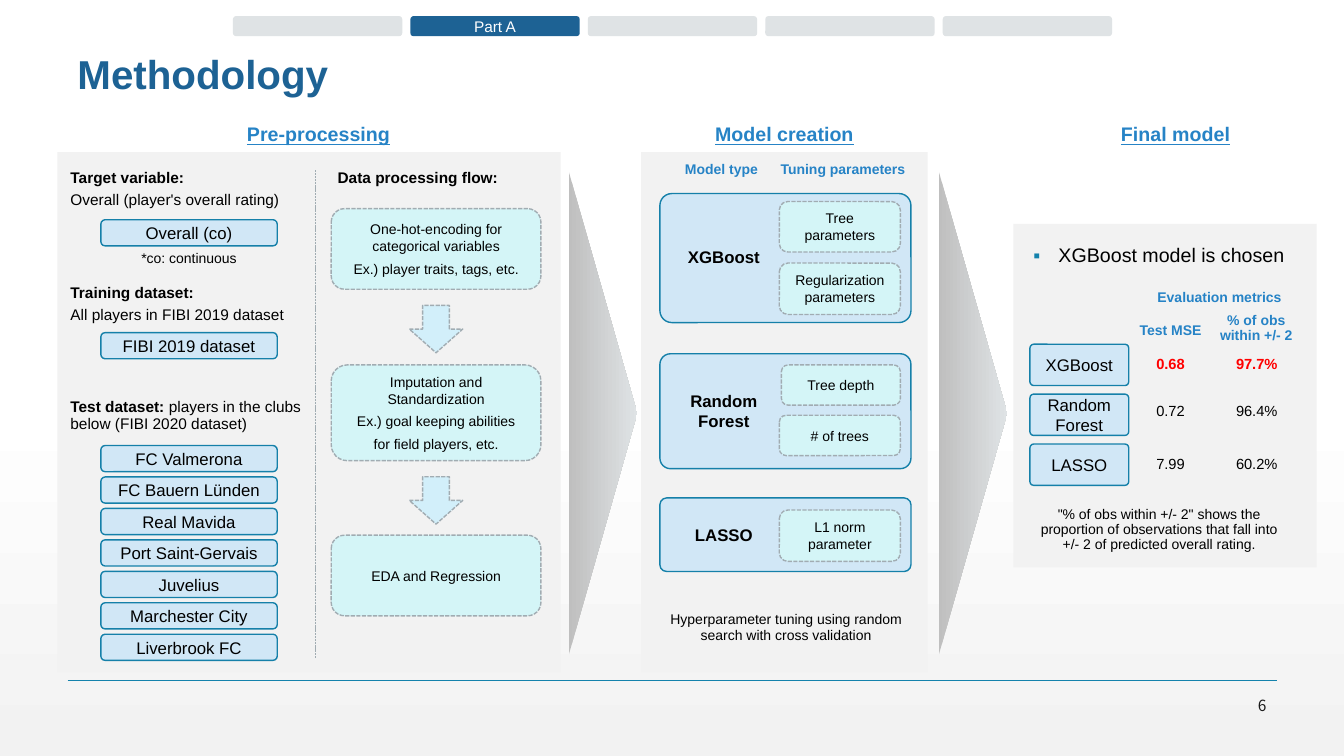
from dataclasses import dataclass
from typing import NamedTuple

from lxml.etree import SubElement
from pptx import Presentation
from pptx.dml.color import RGBColor
from pptx.enum.dml import MSO_LINE
from pptx.enum.shapes import MSO_CONNECTOR, MSO_SHAPE as Preset
from pptx.enum.text import MSO_ANCHOR as Anchor, PP_ALIGN as Align
from pptx.oxml.ns import qn
from pptx.util import Inches, Pt

WHITE = RGBColor(0xFF, 0xFF, 0xFF)
BLACK = RGBColor(0, 0, 0)
RED = RGBColor(0xFF, 0, 0)
INK = RGBColor(0x1A, 0x1A, 0x1A)
NAVY = RGBColor(0x1D, 0x62, 0x94)
BLUE = RGBColor(0x26, 0x83, 0xC6)
TEAL = RGBColor(0x14, 0x82, 0xAC)
EDGE = RGBColor(0x15, 0x80, 0xA9)
PANEL = RGBColor(0xF2, 0xF2, 0xF2)
PALE_BLUE = RGBColor(0xD1, 0xE7, 0xF6)
PALE_CYAN = RGBColor(0xD4, 0xF5, 0xF7)
ARROW = RGBColor(0xD2, 0xEF, 0xFA)
DASH_GREY = RGBColor(0xA1, 0xAC, 0xB2)
LIGHT_GREY = RGBColor(0xDF, 0xE3, 0xE5)
MID_GREY = RGBColor(0xBF, 0xBF, 0xBF)

# Grid: square cells, 133.3 columns by 75 rows
CELL = Inches(0.1)


class Box(NamedTuple):
    column: float
    row: float
    columns: float
    rows: float

    def lengths(self) -> list[int]:
        return [round(value * CELL) for value in self]


class Line(NamedTuple):
    text: str = ""
    lead: str = ""  # bold opening words
    before: float = 0


@dataclass
class Model:
    name: str
    row: float
    rows: float
    label: Box
    parameters: list[tuple[str, Box]]


@dataclass
class Score:
    name: str
    error: str
    share: str
    row: float
    color: RGBColor = BLACK
    bold: bool = False


def write(frame, lines, *, size=10, color=BLACK, bold=False, underline=False, font="Arial",
          align=Align.CENTER, anchor=Anchor.TOP, spacing=None, bullet="") -> None:
    frame.word_wrap = True
    frame.vertical_anchor = anchor
    lines = [Line(lines)] if isinstance(lines, str) else lines
    for index, line in enumerate(lines):
        paragraph = frame.add_paragraph() if index else frame.paragraphs[0]
        if bullet:
            properties = paragraph._p.get_or_add_pPr()
            properties.set("marL", str(Inches(0.25)))
            properties.set("indent", str(-Inches(0.25)))
            tint = SubElement(properties, qn("a:buClr"))
            SubElement(tint, qn("a:srgbClr"), val=str(TEAL))
            SubElement(properties, qn("a:buFont"), typeface=font)
            SubElement(properties, qn("a:buChar"), char=bullet)
        paragraph.alignment = align
        if spacing:
            paragraph.line_spacing = spacing
        if line.before:
            paragraph.space_before = Pt(line.before)
        for text, is_bold in ((line.lead, True), (line.text, bold)):
            if text:
                run = paragraph.add_run()
                run.text = text
                run.font.name, run.font.size = font, Pt(size)
                run.font.bold, run.font.underline = is_bold, underline
                run.font.color.rgb = color


def add_text(slide, box: Box, lines, *, spacing=0.9, **text_format) -> None:
    write(slide.shapes.add_textbox(*box.lengths()).text_frame, lines, spacing=spacing, **text_format)


def add_block(slide, box: Box, fill, lines="", *, preset=Preset.ROUNDED_RECTANGLE, edge=None,
              dashed=False, corner=None, **text_format):
    shape = slide.shapes.add_shape(preset, *box.lengths())
    shape.shadow.inherit = False
    shape.fill.solid()
    shape.fill.fore_color.rgb = fill
    if edge is None:
        shape.line.fill.background()
    else:
        shape.line.color.rgb = edge
        shape.line.width = Pt(1)
        if dashed:
            shape.line.dash_style = MSO_LINE.SQUARE_DOT
    if corner:
        shape.adjustments[0] = corner
    if lines:
        write(shape.text_frame, lines, anchor=Anchor.MIDDLE, **text_format)
    return shape


def add_chip(slide, box: Box, lines="", **options) -> None:
    add_block(slide, box, PALE_BLUE, lines, edge=EDGE, size=12, **options)


def add_dashed(slide, box: Box, lines) -> None:
    add_block(slide, box, PALE_CYAN, lines, edge=DASH_GREY, dashed=True)


def add_rule(slide, start, end, color, width, dashed=False) -> None:
    ends = [round(value * CELL) for value in (*start, *end)]
    connector = slide.shapes.add_connector(MSO_CONNECTOR.STRAIGHT, *ends)
    SubElement(connector._element.spPr, qn("a:effectLst"))
    connector.line.color.rgb, connector.line.width = color, Pt(width)
    if dashed:
        connector.line.dash_style = MSO_LINE.SQUARE_DOT


def set_gradient(fill, first, last, angle, start=0.0) -> None:
    fill.gradient()
    fill.gradient_angle = angle
    for stop, color, position in zip(fill.gradient_stops, (first, last), (start, 1.0)):
        stop.color.rgb, stop.position = color, position


def add_wedge(slide, column: float) -> None:
    wedge = add_block(slide, Box(column, 37.6, 48, 6.8), MID_GREY, preset=Preset.ISOSCELES_TRIANGLE)
    wedge.rotation = 90
    set_gradient(wedge.fill, MID_GREY, LIGHT_GREY, 90)


TABS = ["", "Part A", "", "", ""]  # only the current part is labelled
HEADINGS = [("Pre-processing", 21.3), ("Model creation", 67.5), ("Final model", 106.3)]
PANELS = [Box(5.7, 15.1, 49.9, 51.6), Box(63.6, 15.1, 28.4, 51.6), Box(100.5, 22.2, 30.1, 34.1)]
DATASETS = [
    (Box(6, 16.4, 26.9, 3.8), [Line(lead="Target variable:"), Line("Overall (player's overall rating)", before=4)]),
    (Box(6, 27.8, 28.4, 3.8), [Line(lead="Training dataset:"), Line("All players in FIBI 2019 dataset", before=4)]),
    (Box(6, 39.1, 28.4, 3.8), [Line("players in the clubs below (FIBI 2020 dataset)", "Test dataset: ")]),
    (Box(32.5, 16.4, 23.2, 3.8), [Line(lead="Data processing flow:")]),
]
CLUBS = ["FC Valmerona", "FC Bauern Lünden", "Real Mavida", "Port Saint-Gervais",
         "Juvelius", "Marchester City", "Liverbrook FC"]
CHIPS = [("Overall (co)", 21.8), ("FIBI 2019 dataset", 33)]
CHIPS += [(club, 44.2 + 3.12 * index) for index, club in enumerate(CLUBS)]
STEPS = [
    (20.7, 8, [Line("One-hot-encoding for categorical variables"), Line("Ex.) player traits, tags, etc.", before=4)]),
    (36.2, 9.5, [Line("Imputation and"), Line("Standardization"),
                 Line("Ex.) goal keeping abilities", before=4), Line("for field players, etc.", before=4)]),
    (53.1, 8, "EDA and Regression"),
]
MODELS = [
    Model("XGBoost", 19.2, 12.8, Box(67, 24, 9.6, 3), [("Tree parameters", Box(77.3, 20, 12, 5)),
          ("Regularization parameters", Box(77.3, 26.1, 12, 5.1))]),
    Model("Random Forest", 35.1, 11.4, Box(67, 38.3, 9.6, 5), [("Tree depth", Box(77.5, 36.2, 11.8, 4)),
          ("# of trees", Box(77.3, 41.2, 12, 4))]),
    Model("LASSO", 49.4, 7.3, Box(67, 51.6, 9.6, 3), [("L1 norm parameter", Box(77.3, 50.6, 12, 5.1))]),
]
LABELS = [("Model type", Box(65.6, 15.6, 11.9, 2.5)), ("Tuning parameters", Box(76.1, 15.6, 15, 2.3)),
          ("Evaluation metrics", Box(113.6, 28.3, 14.7, 2.3)), ("Test MSE", Box(110.6, 31.6, 11, 2.3)),
          ("% of obs within +/- 2", Box(119.1, 30.6, 11, 4.4))]
SCORES = [Score("XGBoost", "0.68", "97.7%", 34.75, RED, True),
          Score("Random Forest", "0.72", "96.4%", 39.4), Score("LASSO", "7.99", "60.2%", 44.65)]
NOTES = [("*co: continuous", Box(7.6, 24.45, 22.3, 2.6)),
         ("Hyperparameter tuning using random search with cross validation", Box(64.5, 60.3, 26.9, 2.8)),
         ('"% of obs within +/- 2" shows the proportion of observations that fall into '
          "+/- 2 of predicted overall rating.", Box(101.5, 49.85, 26.9, 2.8))]


def main() -> None:
    presentation = Presentation()
    presentation.slide_width, presentation.slide_height = Inches(13.33), Inches(7.5)
    slide = presentation.slides.add_slide(presentation.slide_layouts[6])
    set_gradient(slide.background.fill, WHITE, PANEL, 270, start=0.53)

    # Frame: rule, page number, tabs, title, panels and wedges
    add_rule(slide, (6.7, 67.5), (126.7, 67.5), TEAL, 1)
    add_text(slide, Box(116.6, 68.8, 10, 2.4), "6", size=11, color=INK, font="Noto Sans CJK JP",
             align=Align.RIGHT, anchor=Anchor.MIDDLE, spacing=None)
    for index, tab in enumerate(TABS):
        add_block(slide, Box(23.1 + 17.6 * index, 1.6, 16.8, 2), NAVY if tab else LIGHT_GREY,
                  tab, size=11, color=WHITE)
    add_text(slide, Box(6.7, 4.9, 120, 5.6), "Methodology", size=28.8, color=NAVY, bold=True, align=Align.LEFT)
    for panel in PANELS:
        add_block(slide, panel, PANEL, preset=Preset.RECTANGLE)
    for column in (35.8, 72.5):
        add_wedge(slide, column)
    for heading, column in HEADINGS:
        add_text(slide, Box(column, 11.9, 20.6, 2.9), heading, size=14, color=BLUE, bold=True, underline=True)

    # Pre-processing: datasets and processing flow
    add_rule(slide, (31.3, 16.9), (31.3, 65.3), DASH_GREY, 0.5, dashed=True)
    for box, lines in DATASETS:
        add_text(slide, box, lines, size=11, align=Align.LEFT)
    for chip, row in CHIPS:
        add_chip(slide, Box(10, row, 17.5, 2.6), chip)
    for row, rows, lines in STEPS:
        add_dashed(slide, Box(32.85, row, 20.8, rows), lines)
    for row in (30.3, 47.3):
        add_block(slide, Box(40.6, row, 5.3, 4.7), ARROW, preset=Preset.DOWN_ARROW, edge=DASH_GREY, dashed=True)

    # Model creation
    for model in MODELS:
        add_chip(slide, Box(65.45, model.row, 24.9, model.rows), corner=0.092)
        add_text(slide, model.label, model.name, size=12, bold=True, spacing=None)
        for parameter, box in model.parameters:
            add_dashed(slide, box, parameter)

    # Final model: choice and scores
    add_text(slide, Box(101.5, 23.5, 28, 3.9), "XGBoost model is chosen", size=14,
             align=Align.LEFT, anchor=Anchor.MIDDLE, bullet="▪")
    for index, score in enumerate(SCORES):
        add_chip(slide, Box(102.15, 34.15 + 4.95 * index, 9.8, 4.1), score.name, corner=0.092)
        for column, value in ((111.3, score.error), (119.85, score.share)):
            add_text(slide, Box(column, score.row, 9.6, 2.9), value, size=10.5,
                     color=score.color, bold=score.bold, spacing=None)

    # Column labels and notes
    for label, box in LABELS:
        add_text(slide, box, label, color=BLUE, bold=True)
    for note, box in NOTES:
        add_text(slide, box, note)
    presentation.save("out.pptx")


if __name__ == "__main__":
    main()
